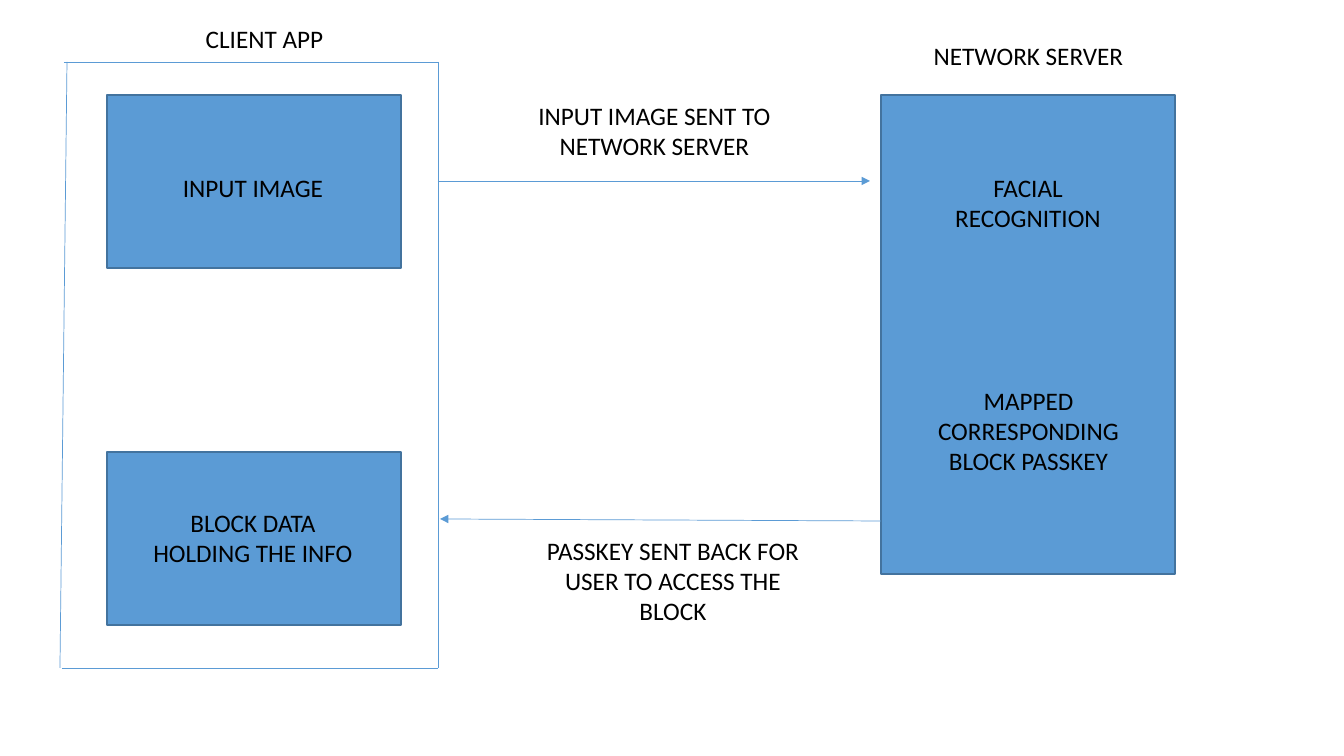
from dataclasses import dataclass

from lxml.etree import SubElement
from pptx import Presentation
from pptx.dml.color import RGBColor
from pptx.enum.shapes import MSO_CONNECTOR as Connector, MSO_SHAPE as Preset
from pptx.enum.text import MSO_AUTO_SIZE as AutoSize, PP_ALIGN as Align
from pptx.oxml.ns import qn
from pptx.util import Pt

EMU_PER_PIXEL = 914400 / 100.8


@dataclass(frozen=True)
class Theme:
    fill: RGBColor = RGBColor(0x5B, 0x9B, 0xD5)
    border: RGBColor = RGBColor(0x43, 0x73, 0x9E)
    text: RGBColor = RGBColor(0, 0, 0)
    font: str = "Calibri"
    text_size: float = 18
    border_width: float = 1
    line_width: float = 0.5


@dataclass(frozen=True)
class Block:
    left: int
    top: int
    width: int
    height: int


@dataclass(frozen=True)
class Label:
    text: str
    left: int
    top: int
    width: int
    lines: int = 1


@dataclass(frozen=True)
class Line:
    start: tuple[int, int]
    end: tuple[int, int]
    arrow: bool = False


THEME = Theme()
BLOCK_WIDTH, BLOCK_HEIGHT = 294, 173
LABEL_PADDING, LINE_HEIGHT = 10, 30
FRAME_TOP, FRAME_RIGHT, FRAME_BOTTOM = 62, 438, 668

BLOCKS = [
    Block(107, 95, BLOCK_WIDTH, BLOCK_HEIGHT),
    Block(881, 95, BLOCK_WIDTH, 479),
    Block(107, 452, BLOCK_WIDTH, BLOCK_HEIGHT),
]
CLIENT_FRAME = [
    Line((64, FRAME_TOP), (FRAME_RIGHT, FRAME_TOP)),
    Line((62, FRAME_BOTTOM), (FRAME_RIGHT, FRAME_BOTTOM)),
    Line((FRAME_RIGHT, FRAME_TOP), (FRAME_RIGHT, FRAME_BOTTOM)),
    Line((67, FRAME_TOP), (60, FRAME_BOTTOM)),
]
MESSAGES = [
    Line((FRAME_RIGHT, 181), (870, 181), arrow=True),
    Line((881, 521), (440, 519), arrow=True),
]
LABELS = [
    Label("INPUT IMAGE", 145, 167, 216),
    Label("FACIAL RECOGNITION", 920, 167, 216, 2),
    Label("BLOCK DATA HOLDING THE INFO", 136, 502, 234, 2),
    Label("INPUT IMAGE SENT TO NETWORK SERVER", 526, 95, 257, 2),
    Label("MAPPED CORRESPONDING BLOCK PASSKEY", 900, 380, 257, 3),
    Label("PASSKEY SENT BACK FOR USER TO ACCESS THE BLOCK", 526, 530, 294, 3),
    Label("NETWORK SERVER", 900, 35, 257),
    Label("CLIENT APP", 136, 18, 257),
]


def emu(*pixels: int) -> list[int]:
    """Turn pixels into EMU."""
    return [round(pixel * EMU_PER_PIXEL) for pixel in pixels]


def apply_format(target: object, values: dict[str, object]) -> None:
    """Set each named attribute on the target."""
    for name, value in values.items():
        setattr(target, name, value)


def draw_block(page: object, block: Block) -> None:
    """Draw a filled rectangle."""
    frame = emu(block.left, block.top, block.width, block.height)
    box = page.shapes.add_shape(Preset.RECTANGLE, *frame)
    box.shadow.inherit = False
    box.fill.solid()
    box.fill.fore_color.rgb = THEME.fill
    box.line.color.rgb = THEME.border
    box.line.width = Pt(THEME.border_width)


def draw_line(page: object, line: Line) -> None:
    """Draw a thin line, with an arrowhead at its end if wanted."""
    ends = emu(*line.start, *line.end)
    connector = page.shapes.add_connector(Connector.STRAIGHT, *ends)
    connector.line.color.rgb = THEME.fill
    connector.line.width = Pt(THEME.line_width)
    properties = connector._element.spPr
    if line.arrow:
        SubElement(properties.find(qn("a:ln")), qn("a:tailEnd"), type="triangle")
    SubElement(properties, qn("a:effectLst"))


def draw_label(page: object, label: Label) -> None:
    """Draw centred, wrapping text."""
    height = LABEL_PADDING + label.lines * LINE_HEIGHT
    box = page.shapes.add_textbox(*emu(label.left, label.top, label.width, height))
    apply_format(box.text_frame, {"word_wrap": True, "auto_size": AutoSize.SHAPE_TO_FIT_TEXT})
    para = box.text_frame.paragraphs[0]
    para.alignment = Align.CENTER
    span = para.add_run()
    span.text = label.text
    apply_format(span.font, {"name": THEME.font, "size": Pt(THEME.text_size)})
    span.font.color.rgb = THEME.text


def main() -> None:
    """Build and save the client and server diagram."""
    deck = Presentation()
    deck.slide_width, deck.slide_height = emu(1344, 756)
    page = deck.slides.add_slide(deck.slide_layouts.get_by_name("Blank"))
    for block in BLOCKS:
        draw_block(page, block)
    for line in CLIENT_FRAME + MESSAGES:
        draw_line(page, line)
    for label in LABELS:
        draw_label(page, label)
    deck.save("out.pptx")


main()
